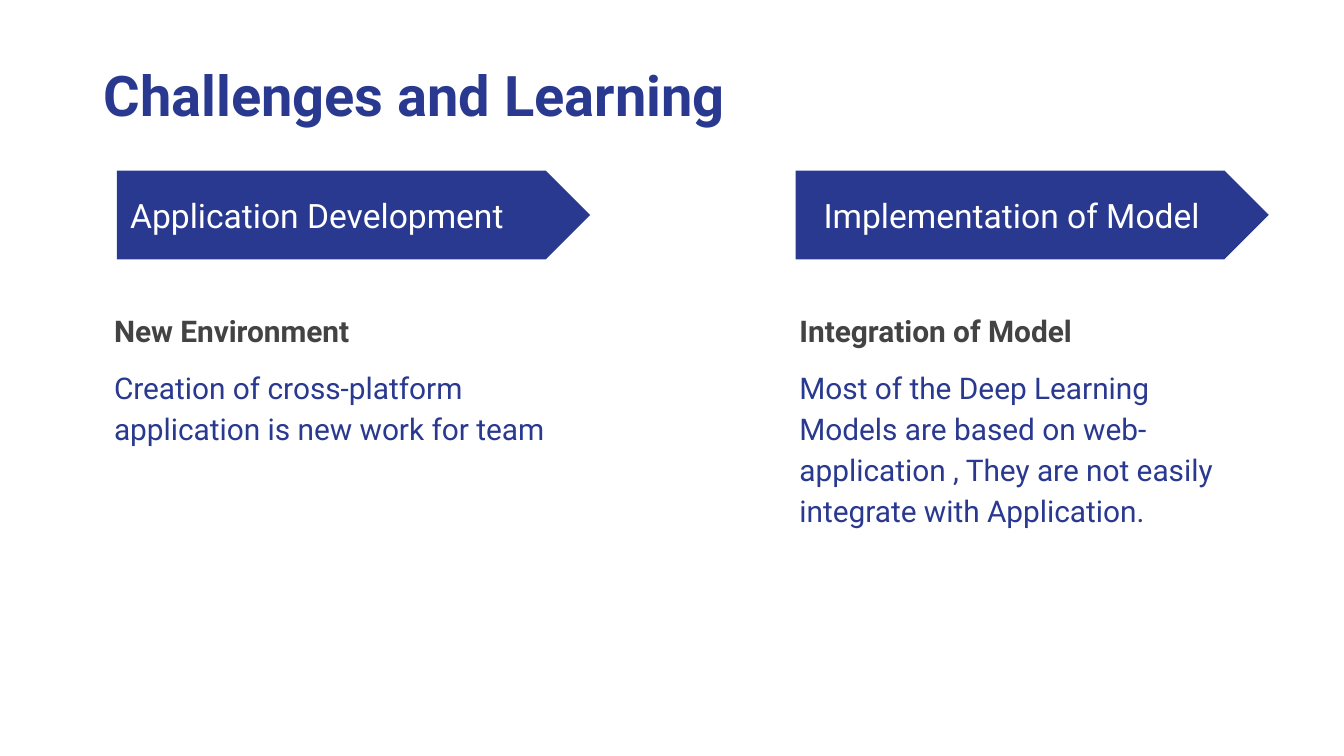
from pptx import Presentation
from pptx import util as u
from pptx.dml.color import RGBColor
from pptx.enum import shapes, text

FONT = "Roboto"
BLUE, GREY, WHITE = "2A3990", "434343", "FFFFFF"
COLUMNS = [
    dict(left=0.75, arrow_left=0.87, label_box=(0.87, 2.98),
         label="Application Development", heading="New Environment",
         detail="Creation of cross-platform application is new work for team"),
    dict(left=5.85, arrow_left=5.92, label_box=(6.03, 3.16),
         label="Implementation of Model", heading="Integration of Model",
         detail="Most of the Deep Learning Models are based on web-application , "
                "They are not easily integrate with Application."),
]


def color(value):
    return RGBColor.from_string(value)


def write(para, words, size=16, fill=BLUE, bold=False, line=1.0, before=0, after=0):
    para.alignment = text.PP_ALIGN.LEFT
    para.line_spacing = line
    para.space_before, para.space_after = u.Pt(before), u.Pt(after)
    span = para.add_run()
    span.text = words
    span.font.name, span.font.size, span.font.bold = FONT, u.Pt(size), bold
    span.font.color.rgb = color(fill)


def set_frame(frame, anchor=text.MSO_ANCHOR.TOP):
    frame.word_wrap = True
    frame.auto_size = text.MSO_AUTO_SIZE.NONE
    frame.vertical_anchor = anchor
    frame.margin_left = frame.margin_right = u.Inches(0.1)
    frame.margin_top = frame.margin_bottom = u.Inches(0.1)
    return frame


def add_text_box(page, left, top, width, height, **options):
    box = page.shapes.add_textbox(*map(u.Inches, (left, top, width, height)))
    return set_frame(box.text_frame, **options)


def add_title(page, words, left, top, width, height):
    title = page.shapes.title
    title.left, title.top = u.Inches(left), u.Inches(top)
    title.width, title.height = u.Inches(width), u.Inches(height)
    write(set_frame(title.text_frame).paragraphs[0], words, size=30, bold=True)


def add_column(page, left, arrow_left, label_box, label, heading, detail,
               top=1.27, width=3.52):
    """Arrow banner with its label, then a heading and detail beneath."""
    arrow = page.shapes.add_shape(
        shapes.MSO_SHAPE.PENTAGON,
        *map(u.Inches, (arrow_left, top, width, 0.66)))
    arrow.shadow.inherit = False
    arrow.fill.solid()
    arrow.fill.fore_color.rgb = color(BLUE)
    arrow.line.fill.background()

    label_left, label_width = label_box
    banner = add_text_box(page, label_left, top + 0.16, label_width, 0.34,
                          anchor=text.MSO_ANCHOR.MIDDLE)
    write(banner.paragraphs[0], label, size=18, fill=WHITE)

    body = add_text_box(page, left, top + 0.92, width, 2.9)
    write(body.paragraphs[0], heading, fill=GREY, bold=True, line=1.15)
    write(body.add_paragraph(), detail, line=1.15, before=8, after=8)


def main():
    deck = Presentation()
    deck.slide_width = u.Inches(10)
    deck.slide_height = deck.slide_width * 9 // 16
    page = deck.slides.add_slide(deck.slide_layouts[5])
    add_title(page, "Challenges and Learning", 0.67, 0.35, 9.32, 0.66)
    for column in COLUMNS:
        add_column(page, **column)
    deck.save("out.pptx")


if __name__ == "__main__":
    main()
